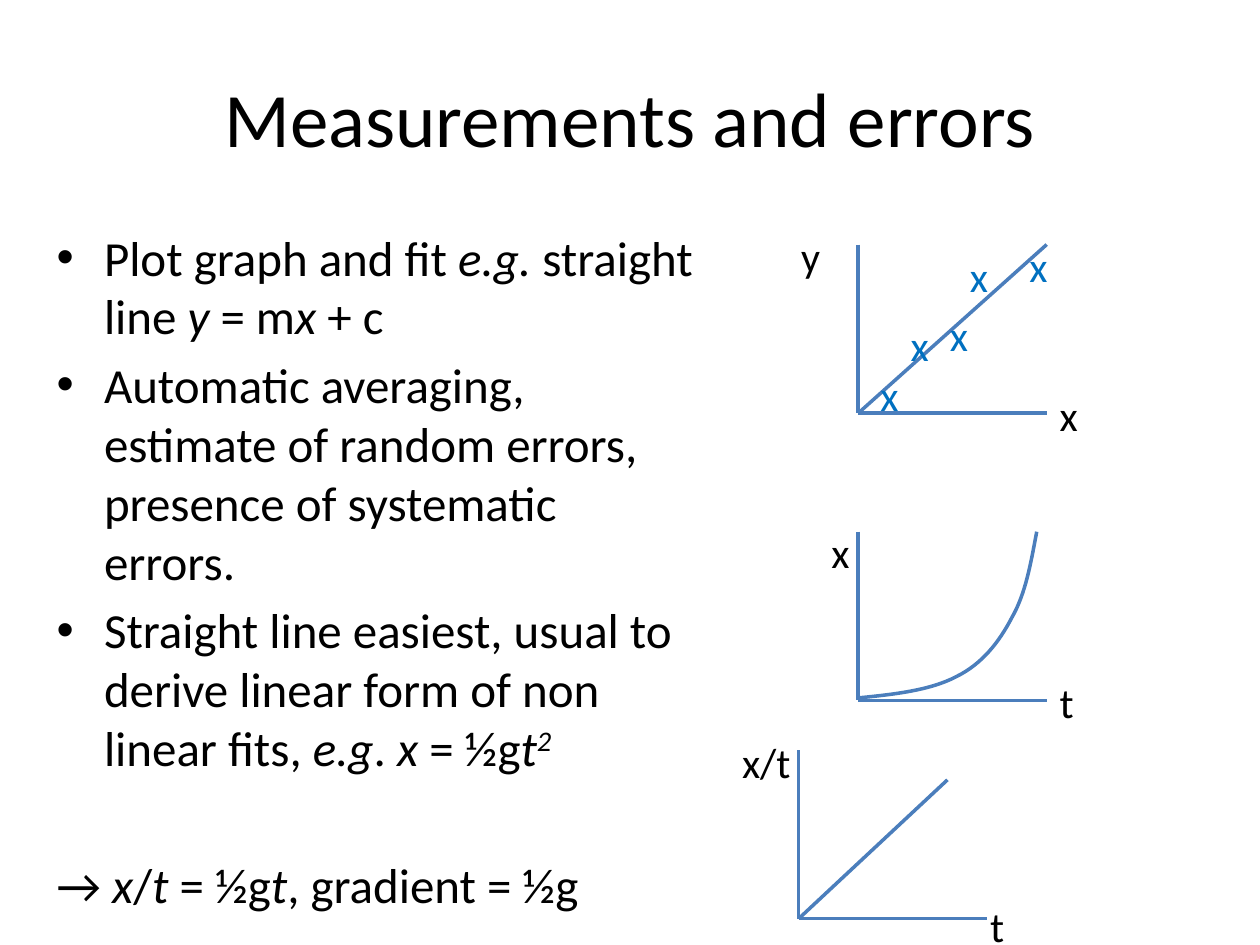
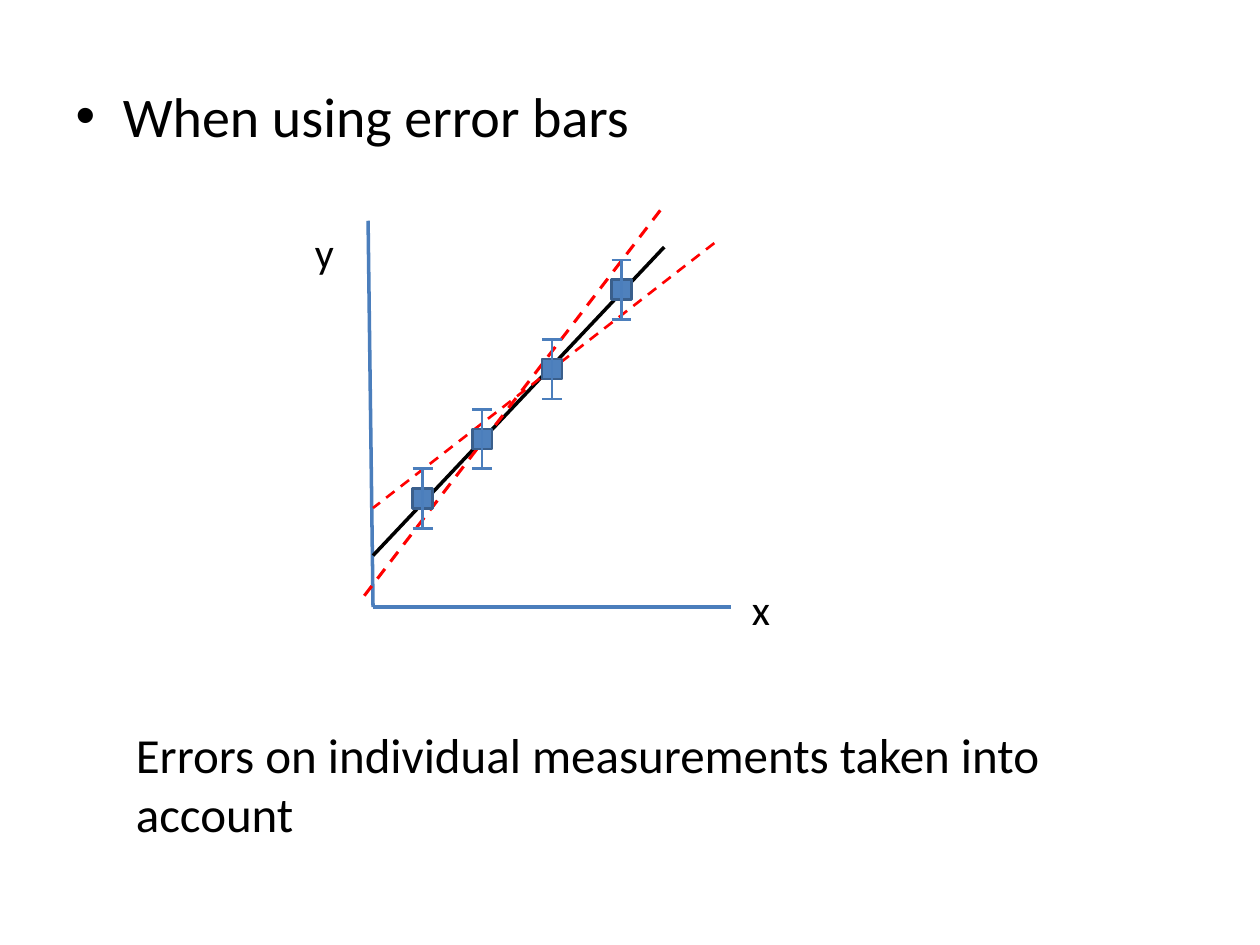
from lxml.etree import SubElement as add_element
from pptx import Presentation
from pptx.dml.color import RGBColor
from pptx.enum.dml import MSO_LINE as Dash
from pptx.enum.shapes import MSO_CONNECTOR as Connector, MSO_SHAPE as Shape
from pptx.enum.text import MSO_ANCHOR as Anchor, MSO_AUTO_SIZE as AutoSize, PP_ALIGN as Align
from pptx.oxml.ns import qn
from pptx.util import Cm, Pt

COLORS = {
    "text": "000000",
    "axis": "4B7EBC",
    "cross": "0070C0",
    "marker": "4F81BD",
    "marker edge": "3A5F8C",
    "limit": "FF0000",
}
COLORS = {name: RGBColor.from_string(value) for name, value in COLORS.items()}
FONT = "Calibri"


def draw_line(shapes, start, end, color="axis", width=2, dash=None):
    line = shapes.add_connector(Connector.STRAIGHT, *[Cm(v) for v in (*start, *end)])
    line.line.color.rgb = COLORS[color]
    line.line.width = Pt(width)
    if dash:
        line.line.dash_style = dash
    add_element(line._element.spPr, qn("a:effectLst"))


def add_label(slide, text, left, top, width=1.8, height=1.27, size=24, color="text"):
    box = slide.shapes.add_textbox(Cm(left), Cm(top), Cm(width), Cm(height))
    box.text_frame.word_wrap = True
    box.text_frame.text = text
    font = box.text_frame.paragraphs[0].runs[0].font
    font.name, font.size, font.color.rgb = FONT, Pt(size), COLORS[color]


deck = Presentation()
deck.slide_width, deck.slide_height = Cm(25.4), Cm(19.05)
layout = deck.slide_layouts[1]

# Slide 1: title
slide = deck.slides.add_slide(layout)
title = slide.shapes.title
title.left, title.top, title.width, title.height = Cm(1.27), Cm(0.76), Cm(22.86), Cm(3.18)
title.text_frame.text = "Measurements and errors"
title.text_frame.vertical_anchor = Anchor.MIDDLE
para = title.text_frame.paragraphs[0]
para.alignment = Align.CENTER
font = para.runs[0].font
font.name, font.size, font.color.rgb = FONT, Pt(44), COLORS["text"]

# Bullet list, with italics between asterisks
points = [
    "Plot graph and fit *e.g.* straight line *y* = m*x* + c",
    "Automatic averaging, estimate of random errors, presence of systematic errors.",
    "Straight line easiest, usual to derive linear form of non linear fits, "
    "*e.g*. *x* = ½g*t**2*",
    "→ *x*/*t* = ½g*t*, gradient = ½g",
]
body = slide.placeholders[1]
body.left, body.top, body.width, body.height = Cm(0.89), Cm(4.45), Cm(13.41), Cm(12.57)
frame = body.text_frame
frame.auto_size = AutoSize.NONE
for number, point in enumerate(points):
    para = frame.add_paragraph() if number else frame.paragraphs[0]
    for position, piece in enumerate(point.split("*")):
        if piece:
            span = para.add_run()
            span.text = piece
            span.font.name, span.font.size = FONT, Pt(28)
            span.font.color.rgb = COLORS["text"]
            span.font.italic = position % 2 == 1

# Superscript of t², and the conclusion set apart without a bullet
frame.paragraphs[2].runs[-1].font._element.set("baseline", "30000")
conclusion = frame.paragraphs[-1]
conclusion.space_before = Pt(45)
add_element(conclusion._p.get_or_add_pPr(), qn("a:buNone"))

# Axes of the three graphs, each from its origin
for x, y in [(17.3, 8.33), (17.3, 14.12), (16.1, 18.52)]:
    draw_line(slide.shapes, (x, y - 3.4), (x, y))
    draw_line(slide.shapes, (x, y), (x + 3.8, y))

# Straight fits
draw_line(slide.shapes, (17.3, 8.33), (21.1, 4.93))
draw_line(slide.shapes, (16.1, 18.52), (19.1, 15.72))

# Parabola: every three points after the start form one Bézier segment
curve_points = [
    (18.01, 14.0), (18.75, 13.92), (19.28, 13.64),
    (19.79, 13.39), (20.14, 12.95), (20.4, 12.45),
    (20.68, 11.96), (20.78, 11.35), (20.9, 10.72),
]
builder = slide.shapes.build_freeform(Cm(17.3), Cm(14.07))
builder.add_line_segments([(Cm(x), Cm(y)) for x, y in curve_points], close=False)
curve = builder.convert_to_shape()
curve.fill.background()
curve.line.color.rgb = COLORS["axis"]
curve.line.width = Pt(2)
curve.shadow.inherit = False
outline = curve._element.find(".//" + qn("a:path"))
segments = outline.findall(qn("a:lnTo"))
for first in range(0, len(segments), 3):
    bezier = add_element(outline, qn("a:cubicBezTo"))
    for segment in segments[first:first + 3]:
        bezier.append(segment[0])
        outline.remove(segment)

# Axis labels
for text, left, top in [
    ("y", 15.9, 4.52), ("x", 21.11, 7.72),
    ("x", 16.51, 10.49), ("t", 21.11, 13.51),
    ("x/t", 14.71, 14.73), ("t", 19.71, 18.03),
]:
    add_label(slide, text, left, top)

# Measured points
for left, top in [(18.9, 6.12), (18.11, 6.32), (17.5, 7.32), (19.3, 4.93), (20.5, 4.72)]:
    add_label(slide, "x", left, top, color="cross")

# Slide 2: heading bullet
slide = deck.slides.add_slide(layout)
unused_title = slide.shapes.title._element
unused_title.getparent().remove(unused_title)
body = slide.placeholders[1]
body.left, body.top, body.width, body.height = Cm(1.27), Cm(1.52), Cm(22.86), Cm(5.41)
body.text_frame.text = "When using error bars"
font = body.text_frame.paragraphs[0].runs[0].font
font.name, font.size, font.color.rgb = FONT, Pt(32), COLORS["text"]

# Axes, best fit and the steepest and shallowest fits
origin = (7.52, 12.24)
draw_line(slide.shapes, (7.42, 4.45), origin)
draw_line(slide.shapes, origin, (14.73, 12.24))
draw_line(slide.shapes, (7.52, 11.2), (13.39, 4.98), "text")
draw_line(slide.shapes, (14.4, 4.9), (7.52, 10.24), "limit", 1.5, Dash.DASH)
draw_line(slide.shapes, (13.31, 4.24), (7.32, 12.04), "limit", 1.75, Dash.DASH)
add_label(slide, "y", 6.1, 4.45)
add_label(slide, "x", 14.91, 11.63)

# Markers with error bars, one group per measurement
half, reach = 0.2, 0.6
for x, y in [(8.52, 10.05), (9.72, 8.85), (11.13, 7.44), (12.53, 5.84)]:
    shapes = slide.shapes.add_group_shape().shapes
    marker = shapes.add_shape(Shape.RECTANGLE, Cm(x - half), Cm(y - half),
                              Cm(2 * half), Cm(2 * half))
    marker.fill.solid()
    marker.fill.fore_color.rgb = COLORS["marker"]
    marker.line.color.rgb = COLORS["marker edge"]
    marker.line.width = Pt(1.5)
    marker.shadow.inherit = False
    draw_line(shapes, (x, y - reach), (x, y + reach), width=1.5)
    for cap in (y - reach, y + reach):
        draw_line(shapes, (x - half, cap), (x + half, cap), width=1.5)

# Closing remark
add_label(slide, "Errors on individual measurements taken into account",
          2.49, 14.48, width=20.6, height=2.64, size=28)

deck.save("out.pptx")
